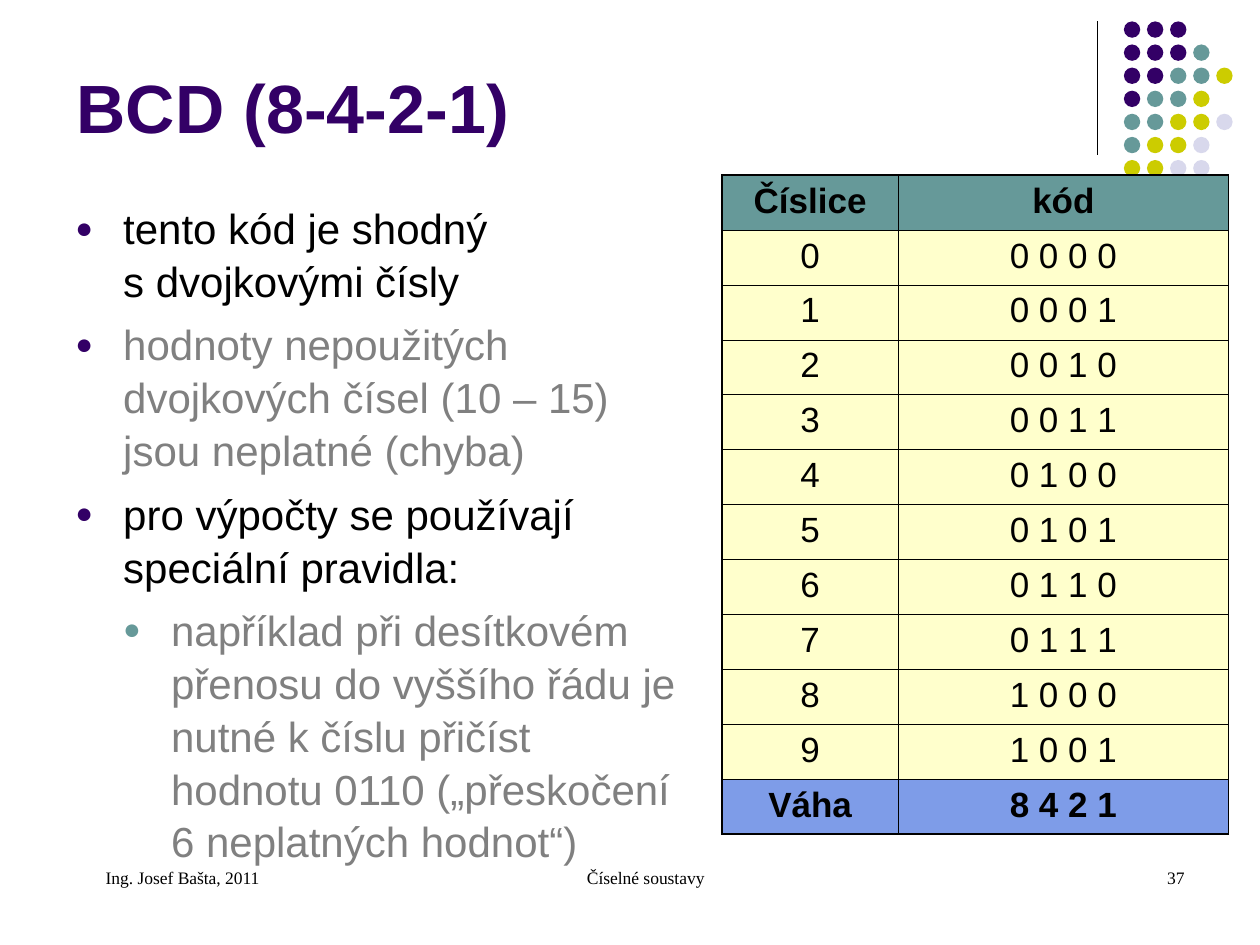
import pptx
import pptx.util
import pptx.dml.color
import pptx.enum.shapes
import pptx.enum.text
import pptx.oxml.ns
from lxml import etree

Inches = pptx.util.Inches
Pt = pptx.util.Pt
ALIGN = pptx.enum.text.PP_ALIGN
ANCHOR = pptx.enum.text.MSO_ANCHOR
qn = pptx.oxml.ns.qn

PURPLE, TEAL, BLACK, GRAY = "330066", "669999", "000000", "808080"
CREAM, BLUE = "FFFFCC", "7E9CE8"

TITLE = "BCD (8-4-2-1)"
BULLETS = [
    (0, "tento kód je shodný \vs dvojkovými čísly", BLACK),
    (0, "hodnoty nepoužitých dvojkových čísel (10 – 15) jsou neplatné (chyba)", GRAY),
    (0, "pro výpočty se používají speciální pravidla:", BLACK),
    (1, "například při desítkovém přenosu do vyššího řádu je nutné k číslu "
        "přičíst hodnotu 0110 („přeskočení 6 neplatných hodnot“)", GRAY),
]
BULLET_COLORS = [PURPLE, TEAL]
CODES = [(str(digit), " ".join(f"{digit:04b}")) for digit in range(10)]
ROWS = [("Číslice", "kód"), *CODES, ("Váha", "8 4 2 1")]
ROW_FILLS = [TEAL] + [CREAM] * len(CODES) + [BLUE]
COLUMN_WIDTHS = [1.4, 2.62]
TABLE_LEFT, TABLE_TOP, TABLE_HEIGHT = 5.73, 1.39, 5.23
FOOTERS = [
    ("Ing. Josef Bašta, 2011", 0.5, 2.33, ALIGN.LEFT),
    ("Číselné soustavy", 3.42, 3.17, ALIGN.CENTER),
    ("37", 7.17, 2.33, ALIGN.RIGHT),
]
DOTS = ["PPP", "PPPT", "PPTTY", "PTTY", "TTYYL", "TYYL", "YYLL"]
DOT_COLORS = {"P": PURPLE, "T": TEAL, "Y": "CCCC00", "L": "D8D8EC"}
DOT_LEFT, DOT_TOP, DOT_PITCH, DOT_SIZE = 8.92, 0.17, 0.55 / 3, 0.13


def color(value):
    return pptx.dml.color.RGBColor.from_string(value)


def set_font(para, name, size, shade, bold=False):
    para.font.name = name
    para.font.size = Pt(size)
    para.font.bold = bold
    para.font.color.rgb = color(shade)


def add_text_box(page, left, top, width, height, anchor=ANCHOR.TOP):
    box = page.shapes.add_textbox(Inches(left), Inches(top), Inches(width), Inches(height))
    box.text_frame.word_wrap = True
    box.text_frame.vertical_anchor = anchor
    return box.text_frame


def add_bullet(para, level):
    properties = para._p.get_or_add_pPr()
    properties.set("marL", str(Inches(0.38 * (level + 1))))
    properties.set("indent", str(Inches(-0.38)))
    shade = etree.SubElement(properties, qn("a:buClr"))
    etree.SubElement(shade, qn("a:srgbClr"), val=BULLET_COLORS[level])
    etree.SubElement(properties, qn("a:buSzPct"), val="70000")
    etree.SubElement(properties, qn("a:buFont"), typeface="Arial")
    etree.SubElement(properties, qn("a:buChar"), char="●")


def add_borders(cell, outer_sides):
    properties = cell._tc.get_or_add_tcPr()
    for side in "LRTB":
        width = Pt(1.08 if side in outer_sides else 0.45)
        line = etree.SubElement(properties, qn(f"a:ln{side}"), w=str(width))
        fill = etree.SubElement(line, qn("a:solidFill"))
        etree.SubElement(fill, qn("a:srgbClr"), val=BLACK)


def add_decoration(page):
    rule = page.shapes.add_connector(
        pptx.enum.shapes.MSO_CONNECTOR.STRAIGHT,
        Inches(8.71), Inches(0.17), Inches(8.71), Inches(1.23))
    rule.line.color.rgb = color(BLACK)
    rule.line.width = Pt(0.75)
    etree.SubElement(rule._element.spPr, qn("a:effectLst"))
    group = page.shapes.add_group_shape()
    for row, keys in enumerate(DOTS):
        for column, key in enumerate(keys):
            dot = group.shapes.add_shape(
                pptx.enum.shapes.MSO_SHAPE.OVAL,
                Inches(DOT_LEFT + column * DOT_PITCH), Inches(DOT_TOP + row * DOT_PITCH),
                Inches(DOT_SIZE), Inches(DOT_SIZE))
            dot.shadow.inherit = False
            dot.fill.solid()
            dot.fill.fore_color.rgb = color(DOT_COLORS[key])
            dot.line.fill.background()


def add_body(page):
    frame = add_text_box(page, 0.5, 1.54, 5.1, 5.16)
    for index, (level, text, shade) in enumerate(BULLETS):
        para = frame.add_paragraph() if index else frame.paragraphs[0]
        para.text = text
        para.level = level
        para.line_spacing = 1.05
        if index:
            para.space_before = Pt(6)
        add_bullet(para, level)
        set_font(para, "Arial", 24, shade)


def add_code_table(page):
    table = page.shapes.add_table(
        len(ROWS), len(COLUMN_WIDTHS), Inches(TABLE_LEFT), Inches(TABLE_TOP),
        Inches(sum(COLUMN_WIDTHS)), Inches(TABLE_HEIGHT)).table
    for column, width in zip(table.columns, COLUMN_WIDTHS):
        column.width = Inches(width)
    last = len(ROWS) - 1
    for row, texts in enumerate(ROWS):
        table.rows[row].height = Inches(TABLE_HEIGHT / len(ROWS))
        for column, text in enumerate(texts):
            cell = table.cell(row, column)
            outer_sides = "LR"[column] + {0: "T", last: "B"}.get(row, "")
            add_borders(cell, outer_sides)
            cell.fill.solid()
            cell.fill.fore_color.rgb = color(ROW_FILLS[row])
            para = cell.text_frame.paragraphs[0]
            para.text = text
            para.alignment = ALIGN.CENTER
            set_font(para, "Arial", 20, BLACK, row in (0, last))


def main():
    deck = pptx.Presentation()
    deck.slide_width, deck.slide_height = Inches(10), Inches(7.5)
    page = deck.slides.add_slide(deck.slide_layouts[6])
    add_decoration(page)
    title = add_text_box(page, 0.51, 0.36, 8.25, 0.86, ANCHOR.BOTTOM).paragraphs[0]
    title.text = TITLE
    set_font(title, "Arial", 39, PURPLE, True)
    add_body(page)
    add_code_table(page)
    for text, left, width, alignment in FOOTERS:
        para = add_text_box(page, left, 6.83, width, 0.5).paragraphs[0]
        para.text = text
        para.alignment = alignment
        para._p.get_or_add_pPr().set("marL", str(Inches(0.24)))
        set_font(para, "Times New Roman", 10, BLACK)
    deck.save("out.pptx")


if __name__ == "__main__":
    main()
